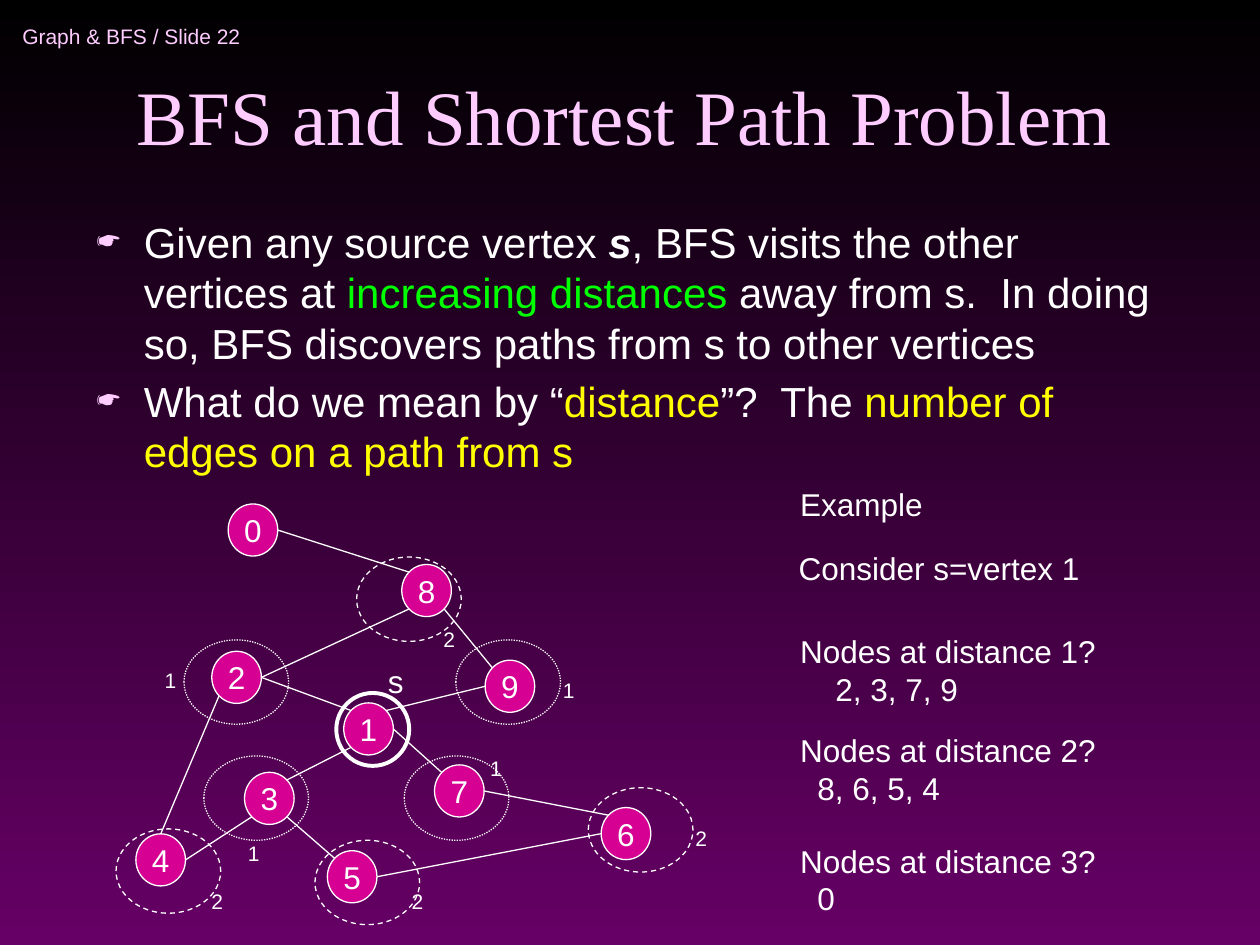
"""Builds the slide on BFS and the shortest path problem."""
from math import cos, radians, sin

from lxml import etree
from pptx import Presentation
from pptx.dml.color import RGBColor
from pptx.enum.dml import MSO_LINE_DASH_STYLE as Dash
from pptx.enum.shapes import MSO_CONNECTOR, MSO_SHAPE
from pptx.enum.text import MSO_ANCHOR, MSO_AUTO_SIZE, PP_ALIGN
from pptx.oxml.ns import qn
from pptx.util import Cm, Pt

COLORS = {"black": "000000", "purple": "660066", "pink": "FFCCFF", "white": "FFFFFF",
          "green": "00FF00", "yellow": "FFFF00", "node": "D60093"}

HEADER = "Graph & BFS / Slide 22"
TITLE = "BFS and Shortest Path Problem"
BULLETS = [
    [("Given any source vertex ", "white", {}),
     ("s", "white", {"bold": True, "italic": True}),
     (", BFS visits the other vertices at ", "white", {}),
     ("increasing distances", "green", {}),
     (" away from s.  In doing so, BFS discovers paths from s to other vertices", "white", {})],
    [("What do we mean by “", "white", {}), ("distance", "yellow", {}),
     ("”?  The ", "white", {}), ("number of edges on a path from s", "yellow", {})],
]
NOTES = [
    (15.85, 10.95, 6.17, ["Consider s=vertex 1"], 0),
    (15.88, 12.62, 6.48, ["Nodes at distance 1?", "2, 3, 7, 9"], 0.71),
    (15.88, 9.65, 2.97, ["Example"], 0),
    (15.88, 14.61, 6.48, ["Nodes at distance 2?", "8, 6, 5, 4"], 0.35),
    (15.88, 16.84, 6.48, ["Nodes at distance 3?", "0"], 0.35),
]
NODE_W, NODE_H = 1.0, 1.05
NODES = {2: (4.27, 13.13), 4: (2.74, 16.81), 3: (4.93, 15.57), 5: (6.6, 17.15),
         1: (6.93, 14.17), 7: (8.76, 15.42), 6: (12.12, 16.28), 9: (9.78, 13.31),
         8: (8.1, 11.38), 0: (4.6, 10.16)}
ANGLES = {side: 45 * i for i, side in enumerate(["E", "SE", "S", "SW", "W", "NW", "N", "NE"])}
EDGES = [(0, "E", 8, "NW"), (8, "SE", 9, "NW"), (9, "W", 1, "NE"), (8, "SW", 2, "E"),
         (2, "E", 1, "NW"), (2, "SW", 4, "N"), (4, "E", 3, "SW"), (3, "NE", 1, "SW"),
         (3, "SE", 5, "NW"), (5, "E", 6, "W"), (1, "E", 7, "NW"), (7, "E", 6, "NW")]
RING_W, RING_H = 2.11, 1.7
DISTANCES = [
    ("1", Dash.ROUND_DOT, [(3.71, 12.9), (4.11, 15.24), (8.15, 15.24), (9.19, 12.9)],
     [(11.1, 13.54), (9.63, 15.11), (3.07, 13.34), (4.75, 16.81)]),
    ("2", Dash.DASH, [(7.19, 11.23), (2.34, 16.71), (6.35, 16.94), (11.86, 15.88)],
     [(13.77, 16.51), (8.05, 17.78), (4.01, 17.78), (8.69, 12.5)]),
]


def rgb(name):
    return RGBColor.from_string(COLORS[name])


def add_run(p, text, size, color="white", font="Arial", **style):
    r = p.add_run()
    r.text = text
    for key, value in {"name": font, "size": Pt(size), **style}.items():
        setattr(r.font, key, value)
    r.font.color.rgb = rgb(color)


def add_box(s, x, y, w, h, wrap=False, anchor=MSO_ANCHOR.TOP):
    tf = s.shapes.add_textbox(Cm(x), Cm(y), Cm(w), Cm(h)).text_frame
    tf.word_wrap, tf.vertical_anchor = wrap, anchor
    return tf


def add_label(s, x, y, w, h, text, size):
    add_run(add_box(s, x, y, w, h).paragraphs[0], text, size)


def add_ellipse(s, x, y, w, h, fill=None, width=0.75, dash=None):
    sp = s.shapes.add_shape(MSO_SHAPE.OVAL, Cm(x), Cm(y), Cm(w), Cm(h))
    sp.shadow.inherit = False
    if fill:
        sp.fill.solid()
        sp.fill.fore_color.rgb = rgb(fill)
    else:
        sp.fill.background()
    sp.line.color.rgb, sp.line.width = rgb("white"), Pt(width)
    if dash:
        sp.line.dash_style = dash
    return sp


def add_bullet(p):
    p.space_before = Pt(4.5)
    pPr = p._p.get_or_add_pPr()
    pPr.set("marL", str(Cm(0.95)))
    pPr.set("indent", str(-Cm(0.95)))
    clr = etree.SubElement(pPr, qn("a:buClr"))
    etree.SubElement(clr, qn("a:srgbClr"), val=COLORS["pink"])
    etree.SubElement(pPr, qn("a:buSzPct"), val="75000")
    etree.SubElement(pPr, qn("a:buChar"), char="☛")


def node_point(node, side):
    x, y = NODES[node]
    a = radians(ANGLES[side])
    return Cm(x + NODE_W / 2 * (1 + cos(a))), Cm(y + NODE_H / 2 * (1 + sin(a)))


def add_background(s):
    fill = s.background.fill
    fill.gradient()
    fill.gradient_angle = 270
    for stop, position, color in zip(fill.gradient_stops, (0, 1), ("black", "purple")):
        stop.position, stop.color.rgb = position, rgb(color)


def add_texts(s):
    tf = add_box(s, 0.2, 0.2, 6.99, 1.07, True, MSO_ANCHOR.MIDDLE)
    add_run(tf.paragraphs[0], HEADER, 12, "pink")

    title = s.shapes.title
    frame = {"left": 1.7, "top": 0.64, "width": 21.79, "height": 2.74}
    for key, value in frame.items():
        setattr(title, key, Cm(value))
    tf = title.text_frame
    tf.word_wrap, tf.vertical_anchor = True, MSO_ANCHOR.BOTTOM
    tf.auto_size = MSO_AUTO_SIZE.NONE
    p = tf.paragraphs[0]
    p.alignment = PP_ALIGN.CENTER
    add_run(p, TITLE, 44, "pink", "Times New Roman")

    tf = add_box(s, 1.7, 4.24, 21.79, 13.77, True)
    for i, runs in enumerate(BULLETS):
        p = tf.add_paragraph() if i else tf.paragraphs[0]
        add_bullet(p)
        for text, color, style in runs:
            add_run(p, text, 24, color, **style)


def add_graph(s):
    for number, (x, y) in NODES.items():
        tf = add_ellipse(s, x, y, NODE_W, NODE_H, "node").text_frame
        for side in ("left", "right", "top", "bottom"):
            setattr(tf, f"margin_{side}", 0)
        tf.word_wrap, tf.vertical_anchor = False, MSO_ANCHOR.MIDDLE
        p = tf.paragraphs[0]
        p.alignment = PP_ALIGN.CENTER
        add_run(p, str(number), 18)

    for start, start_side, end, end_side in EDGES:
        line = s.shapes.add_connector(MSO_CONNECTOR.STRAIGHT, *node_point(start, start_side),
                                      *node_point(end, end_side))
        line.line.color.rgb, line.line.width = rgb("white"), Pt(0.75)
        etree.SubElement(line._element.spPr, qn("a:effectLst"))

    for distance, dash, rings, labels in DISTANCES:
        for x, y in rings:
            add_ellipse(s, x, y, RING_W, RING_H, dash=dash)
        for x, y in labels:
            add_label(s, x, y, 0.74, 0.76, distance, 12)

    add_ellipse(s, 6.78, 13.97, 1.47, 1.47, width=2.25)
    add_label(s, 7.57, 13.23, 0.84, 1.02, "s", 18)


def add_notes(s):
    for x, y, w, lines, indent in NOTES:
        tf = add_box(s, x, y, w, 0.26 + 0.76 * len(lines))
        for i, text in enumerate(lines):
            p = tf.add_paragraph() if i else tf.paragraphs[0]
            if i:
                p._p.get_or_add_pPr().set("marL", str(Cm(indent)))
            add_run(p, text, 18)


def main():
    prs = Presentation()
    prs.slide_width, prs.slide_height = Cm(25.4), Cm(19.05)
    s = prs.slides.add_slide(prs.slide_layouts[5])
    add_background(s)
    add_texts(s)
    add_graph(s)
    add_notes(s)
    prs.save("out.pptx")


if __name__ == "__main__":
    main()
